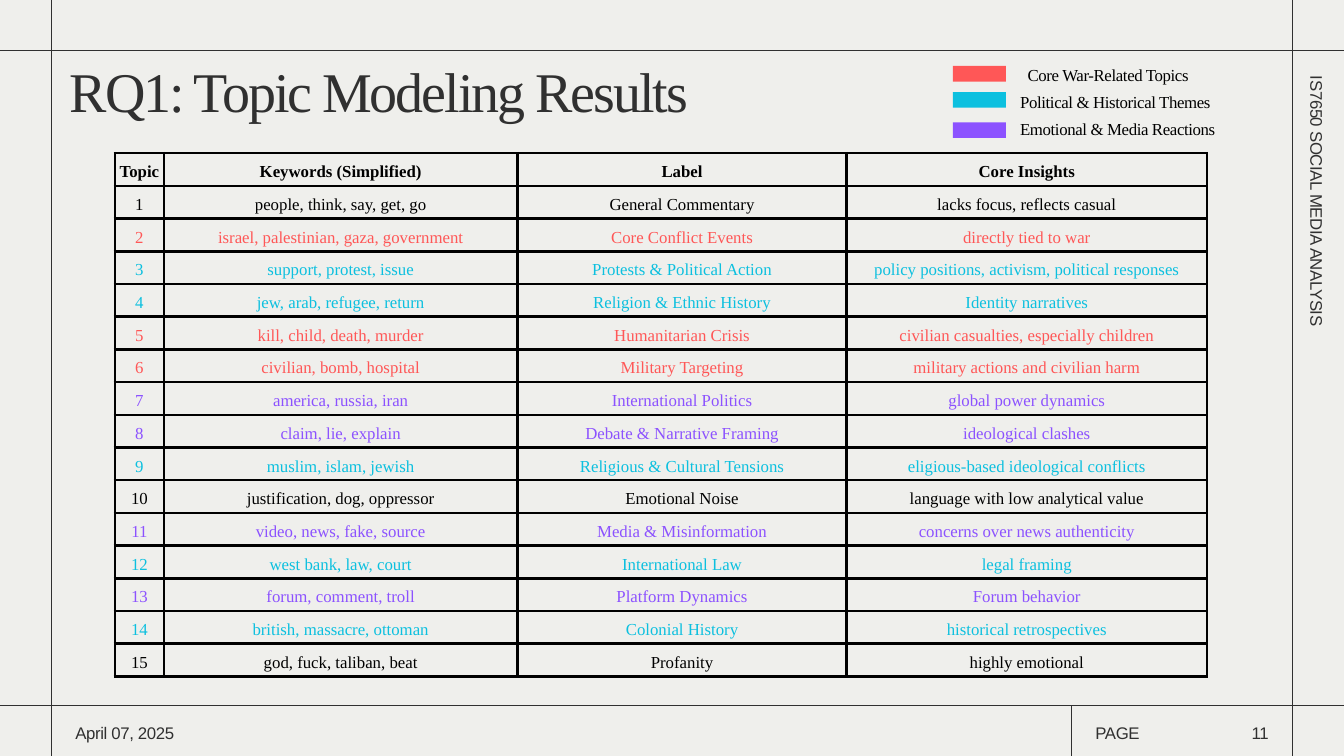
from pptx import Presentation
from pptx.dml.color import RGBColor
from pptx.enum.shapes import MSO_CONNECTOR, MSO_SHAPE
from pptx.enum.text import MSO_ANCHOR, MSO_AUTO_SIZE, PP_ALIGN
from pptx.oxml.ns import qn
from pptx.util import Pt
from lxml import etree

LEFT, CENTER, RIGHT = PP_ALIGN.LEFT, PP_ALIGN.CENTER, PP_ALIGN.RIGHT
TOP, MIDDLE = MSO_ANCHOR.TOP, MSO_ANCHOR.MIDDLE
NO_FIT = MSO_AUTO_SIZE.NONE
STRAIGHT, RECTANGLE = MSO_CONNECTOR.STRAIGHT, MSO_SHAPE.RECTANGLE

COLORS = {"background": "EFEFEC", "ink": "303030", "black": "000000",
          "war": "FF5757", "politics": "0CC0DF", "media": "8C52FF"}
SERIF, SANS = "Times New Roman", "Arial"
FRAME_FORMAT = {"margin_left": 0, "margin_right": 0, "margin_top": 0, "margin_bottom": 0,
                "word_wrap": True, "auto_size": NO_FIT, "vertical_anchor": TOP}
CELL_FORMAT = {"margin_left": 0, "margin_right": 0, "margin_top": 0, "margin_bottom": 0,
               "vertical_anchor": MIDDLE}


def write(frame, text, color, name=SERIF, size=18, spacing=25.2, align=LEFT, bold=False, tracking=0):
    paragraph = frame.paragraphs[0]
    for key, value in {"alignment": align, "line_spacing": Pt(spacing), "space_before": Pt(0)}.items():
        setattr(paragraph, key, value)
    run = paragraph.add_run()
    run.text = text
    for key, value in {"name": name, "size": Pt(size), "bold": bold}.items():
        setattr(run.font, key, value)
    run.font.color.rgb = RGBColor.from_string(COLORS[color])
    if tracking:
        run.font._element.set("spc", str(round(tracking * 100)))


def add_label(shapes, text, left, top, width, color="ink", name=SANS, align=LEFT):
    box = shapes.add_textbox(Pt(left), Pt(top), Pt(width), Pt(25.2))
    for key, value in FRAME_FORMAT.items():
        setattr(box.text_frame, key, value)
    write(box.text_frame, text, color, name, align=align, tracking=-0.4)
    return box


presentation = Presentation()
presentation.slide_width, presentation.slide_height = Pt(1440), Pt(810)
slide = presentation.slides.add_slide(presentation.slide_layouts[5])
slide.background.fill.solid()
slide.background.fill.fore_color.rgb = RGBColor.from_string(COLORS["background"])

RULES = [
    (-8, 54, 1445, 54),
    (-5, 756, 1448, 756),
    (55.44, 937.44, 55.44, -127.44),
    (1384.56, 937.44, 1384.56, -127.44),
    (1148.4, 756, 1148.4, 845.28),
]
for ends in RULES:
    rule = slide.shapes.add_connector(STRAIGHT, *[Pt(end) for end in ends])
    rule.line.width = Pt(0.75)
    rule.line.color.rgb = RGBColor.from_string(COLORS["ink"])
    etree.SubElement(rule._element.spPr, qn("a:effectLst"))

TOPICS = [
    ("black", "Topic", "Keywords (Simplified)", "Label", "Core Insights"),
    ("black", "1", "people, think, say, get, go", "General Commentary", "lacks focus, reflects casual"),
    ("war", "2", "israel, palestinian, gaza, government", "Core Conflict Events", "directly tied to war"),
    ("politics", "3", "support, protest, issue", "Protests & Political Action",
     "policy positions, activism, political responses"),
    ("politics", "4", "jew, arab, refugee, return", "Religion & Ethnic History", "Identity narratives"),
    ("war", "5", "kill, child, death, murder", "Humanitarian Crisis", "civilian casualties, especially children"),
    ("war", "6", "civilian, bomb, hospital", "Military Targeting", "military actions and civilian harm"),
    ("media", "7", "america, russia, iran", "International Politics", "global power dynamics"),
    ("media", "8", "claim, lie, explain", "Debate & Narrative Framing", "ideological clashes"),
    ("politics", "9", "muslim, islam, jewish", "Religious & Cultural Tensions",
     "eligious-based ideological conflicts"),
    ("black", "10", "justification, dog, oppressor", "Emotional Noise", "language with low analytical value"),
    ("media", "11", "video, news, fake, source", "Media & Misinformation", "concerns over news authenticity"),
    ("politics", "12", "west bank, law, court", "International Law", "legal framing"),
    ("media", "13", "forum, comment, troll", "Platform Dynamics", "Forum behavior"),
    ("politics", "14", "british, massacre, ottoman", "Colonial History", "historical retrospectives"),
    ("black", "15", "god, fuck, taliban, beat", "Profanity", "highly emotional"),
]
COLUMN_WIDTHS = [52.56, 378.72, 352.8, 385.92]
ROW_HEIGHT = 35.06
table = slide.shapes.add_table(len(TOPICS), len(COLUMN_WIDTHS), Pt(123.12), Pt(164.16),
                               Pt(sum(COLUMN_WIDTHS)), Pt(ROW_HEIGHT * len(TOPICS))).table
table.first_row = table.horz_banding = False
for column, width in zip(table.columns, COLUMN_WIDTHS):
    column.width = Pt(width)
for row_index, (color, *texts) in enumerate(TOPICS):
    table.rows[row_index].height = Pt(ROW_HEIGHT)
    for column_index, text in enumerate(texts):
        cell = table.cell(row_index, column_index)
        for key, value in CELL_FORMAT.items():
            setattr(cell, key, value)
        write(cell.text_frame, text, color, align=CENTER, bold=row_index == 0)
        properties = cell._tc.get_or_add_tcPr()
        for side in ("a:lnL", "a:lnR", "a:lnT", "a:lnB"):
            border = etree.SubElement(properties, qn(side), w=str(Pt(3)))
            fill = etree.SubElement(border, qn("a:solidFill"))
            etree.SubElement(fill, qn("a:srgbClr"), val=COLORS["black"])
        cell.fill.background()

title = slide.shapes.title
for key, value in {"left": 74.88, "top": 72.72, "width": 781.92, "height": 72.72}.items():
    setattr(title, key, Pt(value))
for key, value in FRAME_FORMAT.items():
    setattr(title.text_frame, key, value)
write(title.text_frame, "RQ1: Topic Modeling Results", "ink", size=60, spacing=60, tracking=-2.2)

LEGEND = [
    ("war", "Core War-Related Topics", 70.56, 188.64, CENTER),
    ("politics", "Political & Historical Themes", 98.64, 246.24, LEFT),
    ("media", "Emotional & Media Reactions", 131.04, 223.92, LEFT),
]
legend = slide.shapes.add_group_shape()
for index, (color, text, swatch_top, width, align) in enumerate(LEGEND):
    swatch = legend.shapes.add_shape(RECTANGLE, Pt(1020.96), Pt(swatch_top), Pt(56.88), Pt(16.8))
    swatch.shadow.inherit = False
    swatch.fill.solid()
    swatch.fill.fore_color.rgb = RGBColor.from_string(COLORS[color])
    swatch.line.fill.background()
    add_label(legend.shapes, text, 1092.96, 66.24 + index * 28.44, width, "black", SERIF, align)

add_label(slide.shapes, "April 07, 2025", 80.64, 770.4, 277.2)
add_label(slide.shapes, "PAGE", 1173.6, 770.4, 92.16)
add_label(slide.shapes, "11", 1265.76, 770.4, 93.6, align=RIGHT)
course = add_label(slide.shapes, "IS7650 SOCIAL MEDIA ANALYSIS", 1274.4, 207.36, 277.2)
course.rotation = 90

presentation.save("out.pptx")
